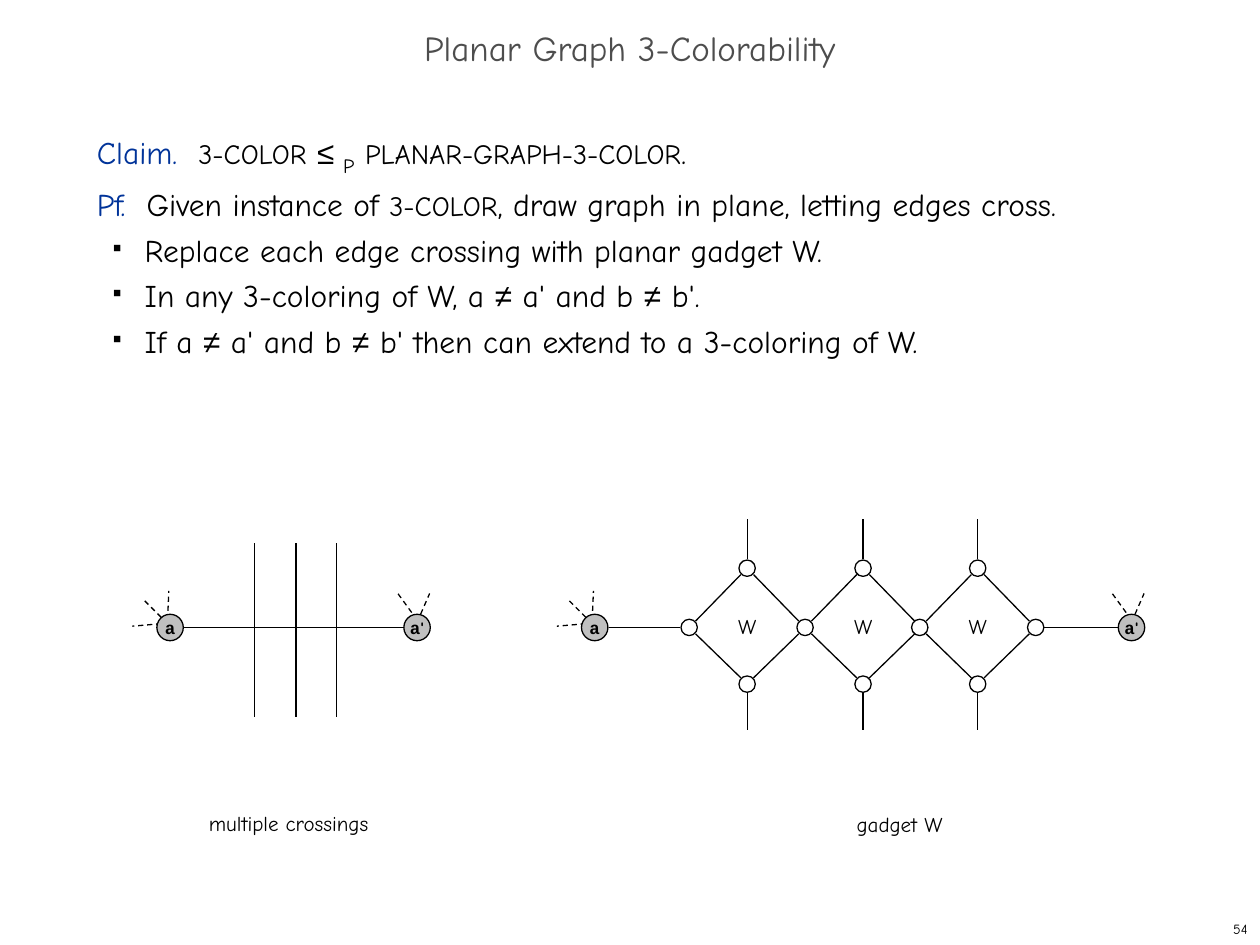
from itertools import product

from lxml.etree import SubElement
from pptx import Presentation
from pptx.dml.color import RGBColor
from pptx.enum.dml import MSO_LINE
from pptx.enum.shapes import MSO_CONNECTOR, MSO_SHAPE
from pptx.enum.text import MSO_ANCHOR, PP_ALIGN
from pptx.oxml.ns import qn
from pptx.util import Inches, Pt

BODY_FONT, SYMBOL_FONT, NODE_FONT = "Comic Neue", "Arial", "Courier New"
BLACK, BLUE, GRAY, NODE_GRAY = "000000", "003399", "4D4D4D", "C0C0C0"
AXIS_Y = 4.98
CROSSINGS_X = (2.02, 2.35, 2.67)
GADGETS_X = (5.93, 6.85, 7.76)
JOINT_REACH = 0.46


def rgb(color):
    return RGBColor.from_string(color)


def style_font(font, size, color=BLACK, name=BODY_FONT):
    font.size = Pt(size)
    font.name = name
    font.color.rgb = rgb(color)


def add_text(page, text, left, top, width, height, size, color=BLACK,
             align=PP_ALIGN.LEFT, anchor=MSO_ANCHOR.TOP, wrap=False):
    box = page.shapes.add_textbox(Inches(left), Inches(top), Inches(width), Inches(height))
    frame = box.text_frame
    frame.word_wrap = wrap
    frame.vertical_anchor = anchor
    para = frame.paragraphs[0]
    para.text = text
    para.alignment = align
    style_font(para.font, size, color)
    return para


def add_span(para, text, size=None, color=None, font=None):
    span = para.add_run()
    span.text = text
    if size:
        span.font.size = Pt(size)
    if color:
        span.font.color.rgb = rgb(color)
    if font:
        span.font.name = font
    return span


def add_bullet(para):
    properties = para._p.get_or_add_pPr()
    properties.set("marL", str(Inches(0.38)))
    properties.set("indent", str(Inches(-0.25)))
    color = SubElement(properties, qn("a:buClr"))
    SubElement(color, qn("a:srgbClr"), val=BLACK)
    SubElement(properties, qn("a:buSzPct"), val="35000")
    SubElement(properties, qn("a:buChar"), char="■")


def add_proof(page):
    box = page.shapes.add_textbox(Inches(0.67), Inches(1), Inches(8.58), Inches(5.92))
    frame = box.text_frame
    frame.word_wrap = True

    def new_para(first=False, bullet=False):
        para = frame.paragraphs[0] if first else frame.add_paragraph()
        if bullet:
            para.level = 1
            add_bullet(para)
        para.line_spacing = Pt(26)
        style_font(para.font, 18)
        return para

    claim = new_para(first=True)
    add_span(claim, "Claim.  ", color=BLUE)
    add_span(claim, "3-COLOR", 16)
    add_span(claim, " ")
    add_span(claim, "≤ ", font=SYMBOL_FONT)
    subscript = add_span(claim, "P", 20)
    subscript._r.get_or_add_rPr().set("baseline", "-25000")
    add_span(claim, " ")
    add_span(claim, "PLANAR-GRAPH-3-COLOR", 16)
    add_span(claim, ".")

    proof = new_para()
    add_span(proof, "Pf.  ", color=BLUE)
    add_span(proof, "Given instance of ")
    add_span(proof, "3-COLOR", 16)
    add_span(proof, ", draw graph in plane, letting edges cross.")

    for step in ("Replace each edge crossing with planar gadget W.",
                 "In any 3-coloring of W, a ≠ a' and b ≠ b'.",
                 "If a ≠ a' and b ≠ b' then can extend to a 3-coloring of W."):
        para = new_para(bullet=True)
        for index, part in enumerate(step.split("≠")):
            if index:
                add_span(para, "≠", font=SYMBOL_FONT)
            add_span(para, part)


def add_edge(page, start_x, start_y, end_x, end_y, dashed=False):
    edge = page.shapes.add_connector(MSO_CONNECTOR.STRAIGHT, Inches(start_x), Inches(start_y),
                                     Inches(end_x), Inches(end_y))
    edge.line.color.rgb = rgb(BLACK)
    edge.line.width = Pt(0.75)
    if dashed:
        edge.line.dash_style = MSO_LINE.DASH
    SubElement(edge._element.spPr, qn("a:effectLst"))


def add_circle(page, x, y, size, fill=None):
    """Draw a circle around the centre (x, y)."""
    circle = page.shapes.add_shape(MSO_SHAPE.OVAL, Inches(x - size / 2), Inches(y - size / 2),
                                   Inches(size), Inches(size))
    circle.shadow.inherit = False
    if fill:
        circle.fill.solid()
        circle.fill.fore_color.rgb = rgb(fill)
    else:
        circle.fill.background()
    circle.line.color.rgb = rgb(BLACK)
    circle.line.width = Pt(0.75)
    return circle


def add_joint(page, x, y):
    add_circle(page, x, y, 0.13)


def add_end_node(page, x, prime=""):
    """Draw node a or a' with the dashed stubs of its other edges."""
    if prime:
        stubs = ((0, -0.04, 0.1, -0.27), (0, -0.06, -0.16, -0.28))
    else:
        stubs = ((-0.02, -0.06, -0.01, -0.29), (-0.02, -0.03, -0.21, -0.22),
                 (-0.07, -0.03, -0.3, -0.01))
    for start_x, start_y, end_x, end_y in stubs:
        add_edge(page, x + start_x, AXIS_Y + start_y, x + end_x, AXIS_Y + end_y, dashed=True)
    node = add_circle(page, x, AXIS_Y, 0.21, NODE_GRAY)
    frame = node.text_frame
    frame.word_wrap = False
    frame.vertical_anchor = MSO_ANCHOR.MIDDLE
    para = frame.paragraphs[0]
    para.alignment = PP_ALIGN.CENTER
    style_font(para.font, 10, name=NODE_FONT)
    para.font.bold = True
    add_span(para, "a", color=BLACK)
    if prime:
        add_span(para, prime, color=BLACK, font=BODY_FONT)


def add_crossings(page):
    add_edge(page, 1.46, AXIS_Y, 3.2, AXIS_Y)
    add_end_node(page, 1.35)
    add_end_node(page, 3.31, "'")
    for x in CROSSINGS_X:
        add_edge(page, x, 4.31, x, 5.69)
    add_text(page, "multiple crossings", 1.56, 6.38, 1.47, 0.3, 12)


def add_gadget(page, x):
    for side, (joint_y, inner_y, outer_y, corner_y, axis_corner_y) in product(
            (-1, 1), ((4.51, 4.44, 4.12, 4.56, 4.93), (5.43, 5.49, 5.79, 5.38, 5.03))):
        add_edge(page, x + side * 0.05, corner_y, x + side * 0.41, axis_corner_y)
        if side == 1:
            add_joint(page, x, joint_y)
            add_edge(page, x, inner_y, x, outer_y)
    add_joint(page, x - JOINT_REACH, AXIS_Y)
    add_text(page, "W", x - 0.17, 4.82, 0.34, 0.3, 12)


def add_gadget_chain(page):
    add_edge(page, 4.83, AXIS_Y, 5.4, AXIS_Y)
    add_edge(page, 8.28, AXIS_Y, 8.87, AXIS_Y)
    add_end_node(page, 4.72)
    add_end_node(page, 8.98, "'")
    for x in GADGETS_X:
        add_gadget(page, x)
    add_joint(page, GADGETS_X[-1] + JOINT_REACH, AXIS_Y)
    add_text(page, "gadget W", 6.7, 6.39, 0.88, 0.3, 12)


def main():
    deck = Presentation()
    deck.slide_width, deck.slide_height = Inches(10), Inches(7.5)
    page = deck.slides.add_slide(deck.slide_layouts[6])
    title = add_text(page, "Planar Graph 3-Colorability", 0, 0.17, 10, 0.5, 20, GRAY,
                     PP_ALIGN.CENTER, MSO_ANCHOR.MIDDLE, wrap=True)
    title.line_spacing = 0.7
    add_proof(page)
    add_crossings(page)
    add_gadget_chain(page)
    add_text(page, "54", 7.92, 7.25, 2.08, 0.25, 8, BLACK,
             PP_ALIGN.RIGHT, MSO_ANCHOR.MIDDLE, wrap=True)
    deck.save("out.pptx")


if __name__ == "__main__":
    main()
